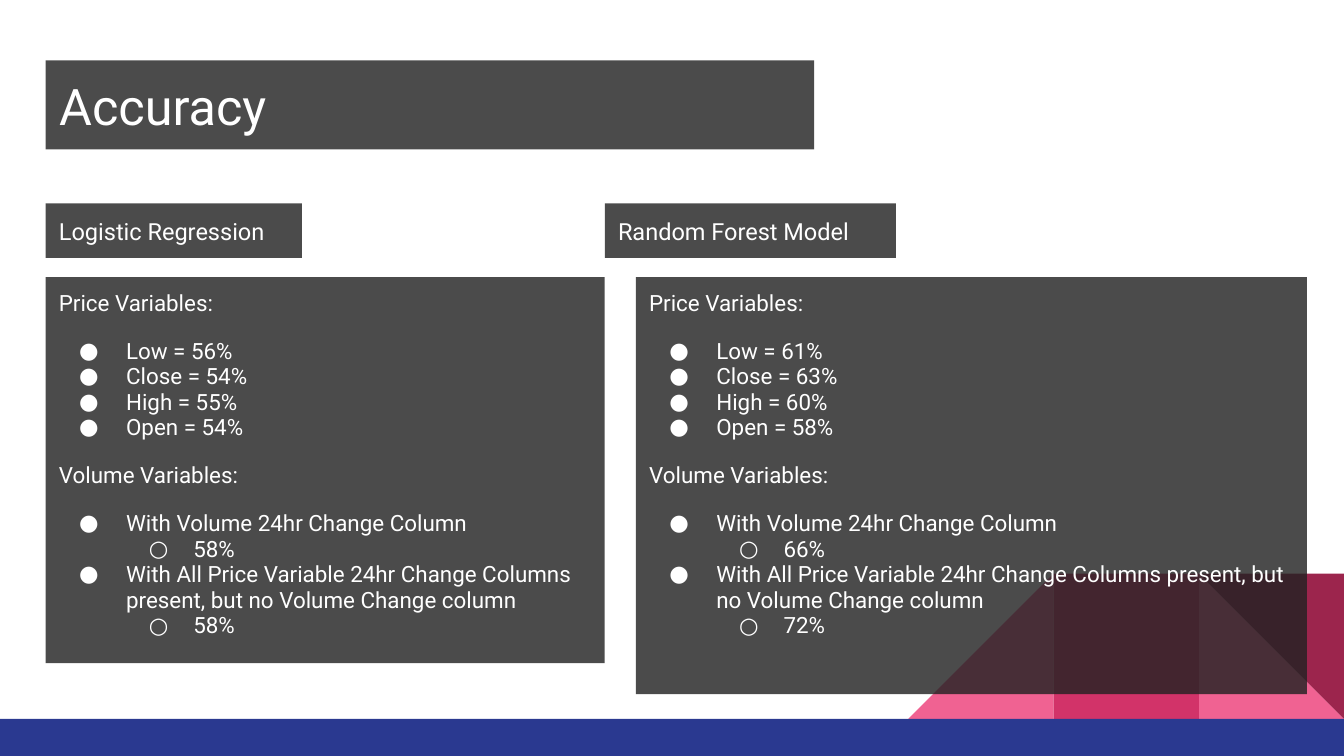
from dataclasses import dataclass

from lxml.etree import SubElement
from pptx import Presentation
from pptx.dml.color import RGBColor
from pptx.enum.shapes import MSO_SHAPE
from pptx.enum.text import MSO_ANCHOR, MSO_AUTO_SIZE, PP_ALIGN
from pptx.oxml.ns import qn
from pptx.util import Pt

WHITE = RGBColor(0xFF, 0xFF, 0xFF)
CHARCOAL = RGBColor(0x22, 0x22, 0x22)
PINK = RGBColor(0xF0, 0x62, 0x92)
CRIMSON = RGBColor(0xD2, 0x33, 0x69)
BURGUNDY = RGBColor(0x9C, 0x25, 0x4D)
NAVY = RGBColor(0x2A, 0x39, 0x90)

FONT = "Roboto"
SLIDE_WIDTH, SLIDE_HEIGHT = 720, 405
LEFT = 24.5
TILE = 77.8
BAR_TOP = 385.1
PANEL_TOP = 148.5
HEADING_TOP, HEADING_HEIGHT = 109, 29.2


@dataclass(frozen=True)
class Box:
    left: float
    top: float
    width: float
    height: float


@dataclass(frozen=True)
class Bullet:
    character: str
    level: int
    margin: float
    hanging: float


@dataclass(frozen=True)
class Model:
    name: str
    heading: Box
    panel: Box
    prices: dict[str, int]
    volume_change: int
    price_changes: int


DISC = Bullet("●", 0, 36, 25.2)
CIRCLE = Bullet("○", 1, 72, 23.8)

MODELS = [
    Model("Random Forest Model",
          Box(324, HEADING_TOP, 156, HEADING_HEIGHT),
          Box(340.7, PANEL_TOP, 359.5, 223.4),
          {"Low": 61, "Close": 63, "High": 60, "Open": 58}, 66, 72),
    Model("Logistic Regression",
          Box(LEFT, HEADING_TOP, 137.3, HEADING_HEIGHT),
          Box(LEFT, PANEL_TOP, 299.5, 206.8),
          {"Low": 56, "Close": 54, "High": 55, "Open": 54}, 58, 58),
]


def place(shape, box: Box) -> None:
    shape.left, shape.top = Pt(box.left), Pt(box.top)
    shape.width, shape.height = Pt(box.width), Pt(box.height)


def add_block(slide, preset: MSO_SHAPE, box: Box, color: RGBColor):
    shape = slide.shapes.add_shape(
        preset, Pt(box.left), Pt(box.top), Pt(box.width), Pt(box.height))
    shape.shadow.inherit = False
    shape.fill.solid()
    shape.fill.fore_color.rgb = color
    shape.line.fill.background()
    return shape


def style_label(shape, anchor: MSO_ANCHOR):
    """Give a shape the translucent dark fill and even text insets."""
    shape.fill.solid()
    shape.fill.fore_color.rgb = CHARCOAL
    color = shape.element.spPr.find(qn("a:solidFill")).find(qn("a:srgbClr"))
    SubElement(color, qn("a:alpha"), val="81000")
    frame = shape.text_frame
    frame.margin_left = frame.margin_right = Pt(7.2)
    frame.margin_top = frame.margin_bottom = Pt(7.2)
    frame.word_wrap = True
    frame.auto_size = MSO_AUTO_SIZE.NONE
    frame.vertical_anchor = anchor
    return frame


def add_text(paragraph, text: str, size: float) -> None:
    paragraph.alignment = PP_ALIGN.LEFT
    run = paragraph.add_run()
    run.text = text
    run.font.name = FONT
    run.font.size = Pt(size)
    run.font.color.rgb = WHITE


def set_bullet(paragraph, bullet: Bullet) -> None:
    paragraph.level = bullet.level
    properties = paragraph._p.get_or_add_pPr()
    properties.set("marL", str(Pt(bullet.margin)))
    properties.set("indent", str(-Pt(bullet.hanging)))
    color = SubElement(properties, qn("a:buClr"))
    SubElement(color, qn("a:srgbClr"), val=str(WHITE))
    SubElement(properties, qn("a:buFont"), typeface=FONT)
    SubElement(properties, qn("a:buChar"), char=bullet.character)


def add_backdrop(slide) -> None:
    top = BAR_TOP - TILE
    left, middle, right = (
        Box(SLIDE_WIDTH - count * TILE, top, TILE, TILE) for count in (3, 2, 1))
    add_block(slide, MSO_SHAPE.RIGHT_TRIANGLE, right, PINK)
    mirrored = add_block(slide, MSO_SHAPE.RIGHT_TRIANGLE, left, PINK)
    mirrored.element.spPr.find(qn("a:xfrm")).set("flipH", "1")
    add_block(slide, MSO_SHAPE.RECTANGLE, middle, CRIMSON)
    add_block(slide, MSO_SHAPE.RIGHT_TRIANGLE, right, BURGUNDY).rotation = 180
    bar = Box(0, BAR_TOP, SLIDE_WIDTH, SLIDE_HEIGHT - BAR_TOP)
    add_block(slide, MSO_SHAPE.RECTANGLE, bar, NAVY)


def add_title(slide, text: str) -> None:
    title = slide.shapes.title
    place(title, Box(LEFT, 32.4, 411.7, 47.7))
    frame = style_label(title, MSO_ANCHOR.MIDDLE)
    add_text(frame.paragraphs[0], text, 27)


def add_heading(slide, model: Model) -> None:
    shape = add_block(slide, MSO_SHAPE.RECTANGLE, model.heading, CHARCOAL)
    frame = style_label(shape, MSO_ANCHOR.TOP)
    add_text(frame.paragraphs[0], model.name, 12.6)


def add_panel(slide, model: Model) -> None:
    shape = add_block(slide, MSO_SHAPE.RECTANGLE, model.panel, CHARCOAL)
    frame = style_label(shape, MSO_ANCHOR.TOP)
    sections = {
        "Price Variables:": [
            (f"{name} = {value}%", DISC) for name, value in model.prices.items()],
        "Volume Variables:": [
            ("With Volume 24hr Change Column", DISC),
            (f"{model.volume_change}%", CIRCLE),
            ("With All Price Variable 24hr Change Columns present, "
             "but no Volume Change column", DISC),
            (f"{model.price_changes}%", CIRCLE)],
    }
    paragraph = frame.paragraphs[0]
    for section, items in sections.items():
        for index, (text, bullet) in enumerate([(section, None), *items]):
            if paragraph.runs:
                paragraph = frame.add_paragraph()
                paragraph.space_before = Pt(12 if index < 2 else 0)
            paragraph.line_spacing = 0.95
            add_text(paragraph, text, 12)
            if bullet:
                set_bullet(paragraph, bullet)


def main() -> None:
    presentation = Presentation()
    presentation.slide_width = Pt(SLIDE_WIDTH)
    presentation.slide_height = Pt(SLIDE_HEIGHT)
    slide = presentation.slides.add_slide(presentation.slide_layouts[5])
    add_backdrop(slide)
    add_title(slide, "Accuracy")
    for model in MODELS:
        add_panel(slide, model)
        add_heading(slide, model)
    presentation.save("out.pptx")


if __name__ == "__main__":
    main()
